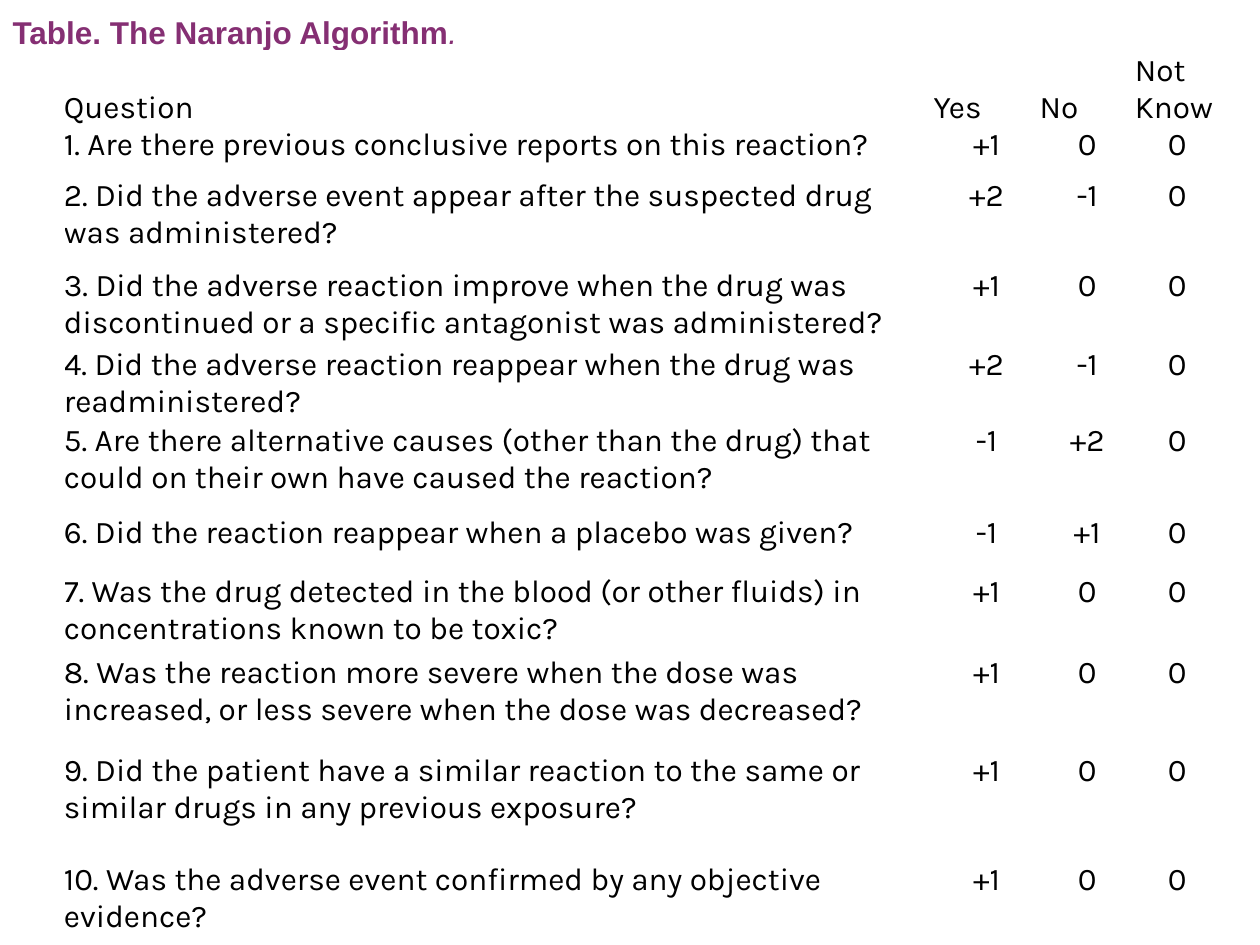
from dataclasses import dataclass

from pptx import Presentation
from pptx import util as u
from pptx.dml import color
from pptx.enum import text


@dataclass(frozen=True)
class Theme:
    plum: str = "852F73"
    ink: str = "000000"
    head: str = "Arial"
    body: str = "Karla"
    size: float = 18


@dataclass(frozen=True)
class Item:
    ask: str
    yes: str
    no: str
    high: float  # row height in points


LOOK = Theme()
WIDTHS = (497, 60.5, 54.5, 48.5)
HEADS = ("Question", "Yes", "No", "Not Know")
HEAD_H = 34
UNSURE = "0"
ITEMS = (
    Item("Are there previous conclusive reports on this reaction?", "+1", "0", 29.5),
    Item("Did the adverse event appear after the suspected drug was administered?",
         "+2", "-1", 51),
    Item("Did the adverse reaction improve when the drug was discontinued "
         "or a specific antagonist was administered?", "+1", "0", 45.5),
    Item("Did the adverse reaction reappear when the drug was readministered?",
         "+2", "-1", 34),
    Item("Are there alternative causes (other than the drug) that could "
         "on their own have caused the reaction?", "-1", "+2", 52.5),
    Item("Did the reaction reappear when a placebo was given?", "-1", "+1", 34),
    Item("Was the drug detected in the blood (or other fluids) in "
         "concentrations known to be toxic?", "+1", "0", 46),
    Item("Was the reaction more severe when the dose was increased, "
         "or less severe when the dose was decreased?", "+1", "0", 56),
    Item("Did the patient have a similar reaction to the same or similar "
         "drugs in any previous exposure?", "+1", "0", 62.5),
    Item("Was the adverse event confirmed by any objective evidence?",
         "+1", "0", 49),
)


def apply(obj, form: dict) -> None:
    for key, val in form.items():
        setattr(obj, key, val)


def add_run(para, words: str, face: str, tint: str, **form) -> None:
    run = para.add_run()
    run.text = words
    apply(run.font, {"name": face, "size": u.Pt(LOOK.size), **form})
    run.font.color.rgb = color.RGBColor.from_string(tint)


def add_title(slide) -> None:
    box = slide.shapes.title
    apply(box, {"left": u.Pt(0), "top": u.Pt(3.5),
                "width": u.Pt(297.5), "height": u.Pt(29)})
    apply(box.text_frame, {"word_wrap": True,
                           "auto_size": text.MSO_AUTO_SIZE.SHAPE_TO_FIT_TEXT,
                           "vertical_anchor": text.MSO_ANCHOR.MIDDLE})
    para = box.text_frame.paragraphs[0]
    para.alignment = text.PP_ALIGN.LEFT
    add_run(para, "Table. The Naranjo Algorithm", LOOK.head, LOOK.plum, bold=True)
    add_run(para, ".", LOOK.head, LOOK.plum, bold=False, italic=True)


def fill_cell(cell, words: str, align, anchor) -> None:
    cell.fill.background()
    apply(cell, {"margin_left": 0, "margin_right": 0, "margin_top": 0,
                 "margin_bottom": 0, "vertical_anchor": anchor})
    para = cell.text_frame.paragraphs[0]
    para.alignment = align
    add_run(para, words, LOOK.body, LOOK.ink)


def add_grid(slide) -> None:
    highs = [HEAD_H] + [item.high for item in ITEMS]
    grid = slide.shapes.add_table(
        len(highs), len(WIDTHS), u.Pt(36.5), u.Pt(29),
        u.Pt(sum(WIDTHS)), u.Pt(sum(highs))).table
    apply(grid, {"first_row": False, "horz_banding": False})
    for col, wide in zip(grid.columns, WIDTHS):
        col.width = u.Pt(wide)
    for row, high in zip(grid.rows, highs):
        row.height = u.Pt(high)

    # Column heads sit on the bottom edge, all flush left
    left, mid = text.PP_ALIGN.LEFT, text.PP_ALIGN.CENTER
    for col, words in enumerate(HEADS):
        fill_cell(grid.cell(0, col), words, left, text.MSO_ANCHOR.BOTTOM)

    # Numbered questions with centred scores
    for row, item in enumerate(ITEMS, 1):
        line = (f"{row}. {item.ask}", item.yes, item.no, UNSURE)
        for col, words in enumerate(line):
            fill_cell(grid.cell(row, col), words, mid if col else left,
                      text.MSO_ANCHOR.TOP)


def main() -> None:
    deck = Presentation()
    apply(deck, {"slide_width": u.Pt(720), "slide_height": u.Pt(540)})
    slide = deck.slides.add_slide(deck.slide_layouts.get_by_name("Title Only"))
    add_grid(slide)
    add_title(slide)
    deck.save("out.pptx")


if __name__ == "__main__":
    main()
